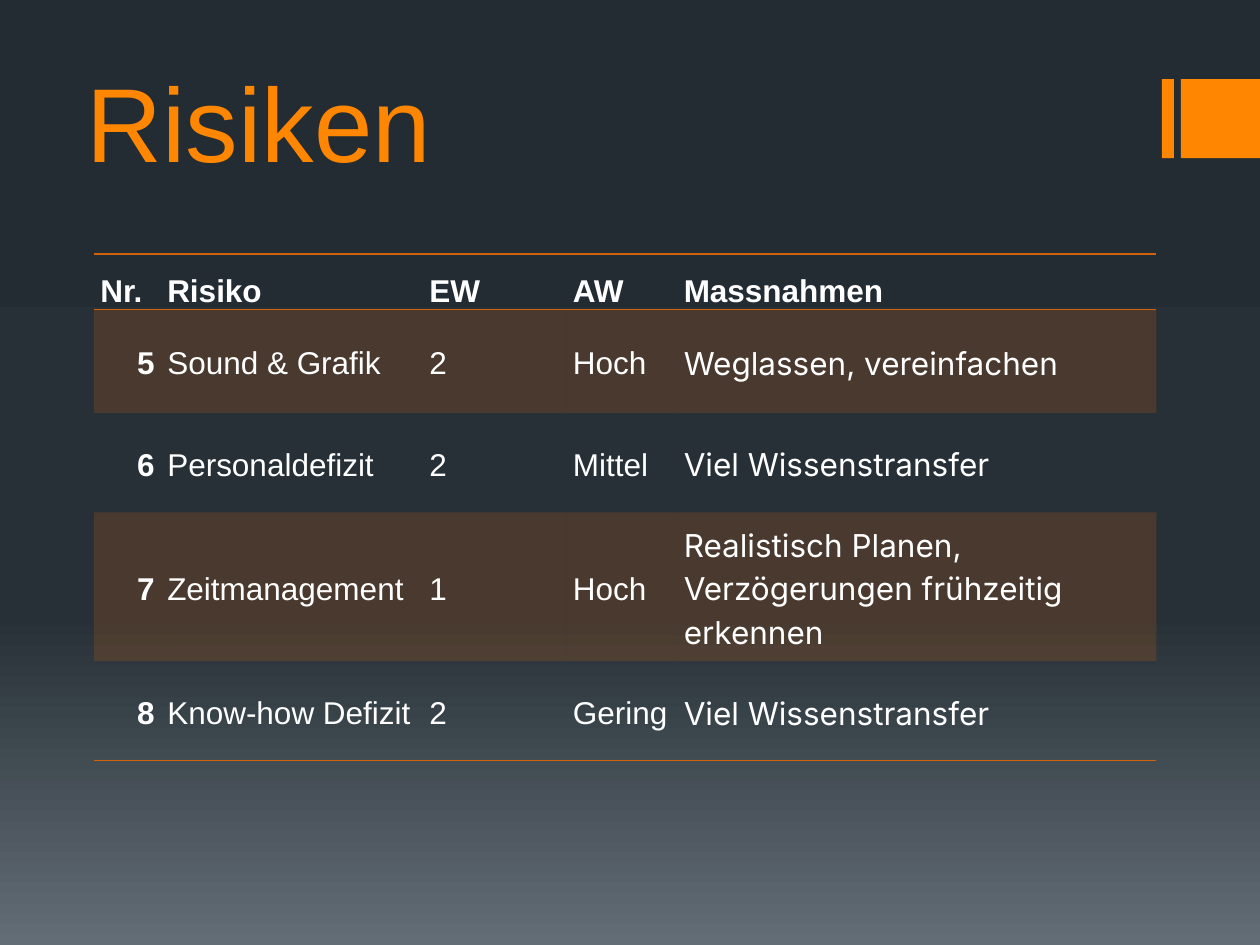
from copy import deepcopy

from lxml.etree import SubElement
from pptx import Presentation
from pptx.dml.color import RGBColor
from pptx.enum.shapes import MSO_SHAPE
from pptx.enum.text import MSO_ANCHOR, PP_ALIGN
from pptx.oxml import parse_xml
from pptx.oxml.ns import nsdecls, qn
from pptx.util import Pt

ORANGE = "FF8600"
RUST = "D2610C"
WHITE = "FFFFFF"
NO_STYLE = "{2D5ABB26-0587-4C30-8999-92F81FD0307C}"

BACKGROUND = [(0, "242C33"), (0.65, "273037"), (1, "636D76")]
COLUMNS = [38.2, 149.8, 82, 63.4, 273.6]
ROWS = [31.7, 59, 56.9, 85, 56.9]
RISKS = [
    ("Nr.", "Risiko", "EW", "AW", "Massnahmen"),
    ("5", "Sound & Grafik", "2", "Hoch", "Weglassen, vereinfachen"),
    ("6", "Personaldefizit", "2", "Mittel", "Viel Wissenstransfer"),
    ("7", "Zeitmanagement", "1", "Hoch",
     "Realistisch Planen, Verzögerungen frühzeitig erkennen"),
    ("8", "Know-how Defizit", "2", "Gering", "Viel Wissenstransfer"),
]


def rgb(color):
    """Turn a hex string into a colour."""
    return RGBColor.from_string(color)


def set_background(s, stops):
    """Fill the slide with a gradient that runs from top to bottom."""
    fill = s.background.fill
    fill.gradient()
    fill.gradient_angle = 270
    gs_list = s.background._cSld.find(".//" + qn("a:gsLst"))
    gs_list.insert(1, deepcopy(gs_list[0]))
    for stop, (position, color) in zip(fill.gradient_stops, stops):
        stop.position = position
        stop.color.rgb = rgb(color)


def format_run(r, size, color, font="Arial", bold=False):
    """Set the font of a run."""
    r.font.size = Pt(size)
    r.font.name = font
    r.font.bold = bold
    r.font.color.rgb = rgb(color)


def add_bar(s, x, y, w, h):
    """Add a plain orange rectangle."""
    sp = s.shapes.add_shape(MSO_SHAPE.RECTANGLE, Pt(x), Pt(y), Pt(w), Pt(h))
    sp.shadow.inherit = False
    sp.fill.solid()
    sp.fill.fore_color.rgb = rgb(ORANGE)
    sp.line.fill.background()


def add_title(s, text, x, y, w, h):
    """Add the slide title, resting on the bottom of its box."""
    tf = s.shapes.add_textbox(Pt(x), Pt(y), Pt(w), Pt(h)).text_frame
    tf.word_wrap = True
    tf.vertical_anchor = MSO_ANCHOR.BOTTOM
    tf.margin_top = tf.margin_bottom = 0
    tf.text = text
    format_run(tf.paragraphs[0].runs[0], 60, ORANGE)


def add_borders(cell, sides):
    """Draw rust lines on the given sides (T before B) of a cell."""
    tc_pr = cell._tc.get_or_add_tcPr()
    for i, side in enumerate(sides):
        tc_pr.insert(i, parse_xml(
            f'<a:ln{side} {nsdecls("a")} w="{Pt(1)}"><a:solidFill>'
            f'<a:srgbClr val="{RUST}"/></a:solidFill></a:ln{side}>'))


def shade(cell, banded):
    """Give a banded cell a translucent fill and any other cell none."""
    if not banded:
        cell.fill.background()
        return
    cell.fill.solid()
    cell.fill.fore_color.rgb = rgb(RUST)
    color = cell._tc.tcPr.find(".//" + qn("a:srgbClr"))
    SubElement(color, qn("a:alpha"), val="20000")


def fill_cell(cell, text, row, col):
    """Write one cell and format it by its row and column."""
    header = row == 0
    cell.text = text
    cell.margin_left = cell.margin_right = Pt(3.6)
    cell.margin_top = cell.margin_bottom = 0
    cell.vertical_anchor = MSO_ANCHOR.BOTTOM if header else MSO_ANCHOR.MIDDLE
    p = cell.text_frame.paragraphs[0]
    p.line_spacing = 1.15
    p.alignment = PP_ALIGN.RIGHT if col == 0 and not header else PP_ALIGN.LEFT
    font = "Inter" if col == len(COLUMNS) - 1 and not header else "Arial"
    format_run(p.runs[0], 18, WHITE, font, bold=header or col == 0)
    shade(cell, row % 2 == 1)
    if header:
        add_borders(cell, "TB")
    elif row == len(ROWS) - 1:
        add_borders(cell, "B")


def add_risk_table(s, x, y):
    """Add the table of risks."""
    table = s.shapes.add_table(len(ROWS), len(COLUMNS), Pt(x), Pt(y),
                               Pt(sum(COLUMNS)), Pt(sum(ROWS))).table
    table._tbl.tblPr.find(qn("a:tableStyleId")).text = NO_STYLE
    table.horz_banding = False
    for column, width in zip(table.columns, COLUMNS):
        column.width = Pt(width)
    for i, values in enumerate(RISKS):
        table.rows[i].height = Pt(ROWS[i])
        for j, text in enumerate(values):
            fill_cell(table.cell(i, j), text, i, j)


def main():
    """Build the slide and save it."""
    prs = Presentation()
    prs.slide_width, prs.slide_height = Pt(720), Pt(540)
    s = prs.slides.add_slide(prs.slide_layouts[6])
    set_background(s, BACKGROUND)
    for x, width in [(664, 6.8), (674.8, 45.2)]:
        add_bar(s, x, 45.2, width, 45.2)
    add_title(s, "Risiken", 42.5, 26, 605.5, 79)
    add_risk_table(s, 53.8, 145.2)
    prs.save("out.pptx")


main()
